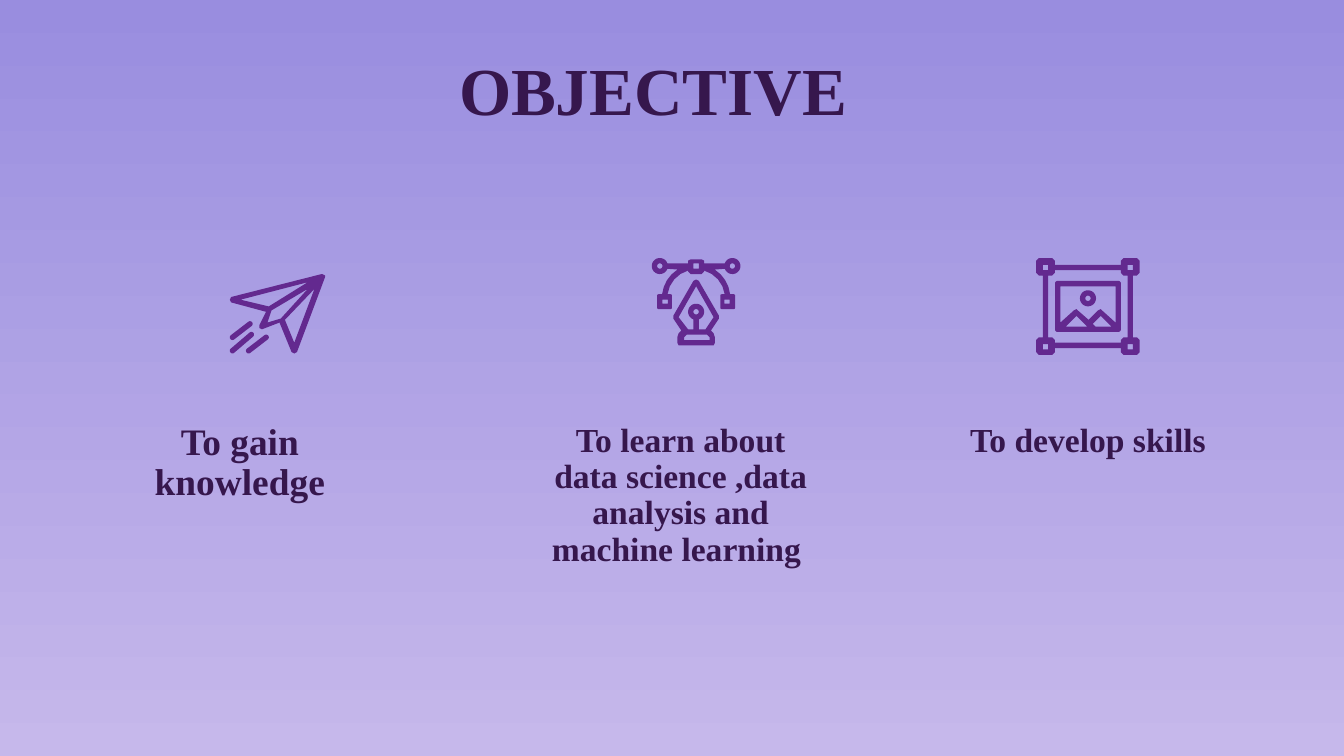
import dataclasses
import itertools
import math

import pptx
import pptx.dml.color
import pptx.enum.text
import pptx.util

PX = 9144
SLIDE_WIDTH = pptx.util.Inches(10)
SLIDE_HEIGHT = SLIDE_WIDTH * 9 // 16
FONT = "Times New Roman"
COLORS = {"top": "998DDF", "bottom": "C6B8EB", "text": "36174D", "icon": "63298F"}
Points = list[tuple[float, float]]


@dataclasses.dataclass
class Label:
    text: str
    left: int
    top: int
    width: int
    height: int
    size: int
    line_spacing: float


@dataclasses.dataclass
class Outline:
    contours: list[Points]


def rgb(name: str) -> pptx.dml.color.RGBColor:
    return pptx.dml.color.RGBColor.from_string(COLORS[name])


def arc(x: float, y: float, radius: float, start: float, end: float) -> Points:
    steps = max(4, round(abs(end - start) / 15))
    angles = [math.radians(start + (end - start) * i / steps) for i in range(steps + 1)]
    return [(x + radius * math.cos(a), y + radius * math.sin(a)) for a in angles]


def ring(x: float, y: float, radius: float) -> Points:
    return arc(x, y, radius, 0, 360)


def box(left: int, top: int, right: int, bottom: int) -> Points:
    return [(left, top), (right, top), (right, bottom), (left, bottom)]


def rounded_box(left: int, top: int, right: int, bottom: int, radius: int) -> Points:
    corners = box(left + radius, top + radius, right - radius, bottom - radius)
    return [point for i, (x, y) in enumerate(corners)
            for point in arc(x, y, radius, 180 + 90 * i, 270 + 90 * i)]


def capsule(x1: int, y1: int, x2: int, y2: int, radius: int) -> Points:
    angle = math.degrees(math.atan2(y2 - y1, x2 - x1))
    return (arc(x1, y1, radius, angle + 90, angle + 270)
            + arc(x2, y2, radius, angle - 90, angle + 90))


def add_mirror_x(points: Points, axis_sum: int) -> Points:
    return points + [(axis_sum - x, y) for x, y in reversed(points)]


def add_mirror_y(points: Points, axis_sum: int) -> Points:
    return points + [(x, axis_sum - y) for x, y in reversed(points)]


def four_way(points: Points) -> Points:
    return add_mirror_x(add_mirror_y(points, 456), 1619)


PEN_ICON = [
    Outline([
        add_mirror_x([(518, 208), (520, 209), (535, 235), (535, 237), (529, 246),
                      (531, 248), (532, 251), (532, 255), (531, 257), (529, 257)], 1036),
        [(518, 213), (531, 236), (525, 245), (520, 245)]
        + arc(518, 232, 6, 70, -250)
        + [(516, 245), (512, 245), (505, 236)],
        ring(518, 232, 2),
        [(526, 249), (528, 251), (528, 253), (509, 253), (509, 251), (511, 249)],
    ]),
    Outline([
        add_mirror_x(
            [(518, 193), (522, 193), (524, 194), (524, 196)]
            + arc(545, 198, 6, 200, 520)
            + arc(518, 222, 25.5, -57, -7)
            + arc(546, 220, 1, 270, 360)
            + arc(546, 229, 1, 0, 90)
            + arc(537, 229, 1, 90, 180)
            + arc(537, 220, 1, 180, 270)
            + arc(518, 222, 21.5, -8, -74)
            + [(524, 202), (522, 204), (518, 204)], 1036),
        ring(491, 198, 2),
        ring(545, 198, 2),
        box(516, 196, 520, 200),
        box(493, 223, 497, 226),
        box(539, 223, 543, 226),
    ]),
]

PLANE_ICON = [
    Outline([
        [(240, 204), (239, 204), (172, 221), (171, 223), (172, 225), (198, 232),
         (193, 242), (193, 244), (195, 245), (208, 240), (217, 262), (219, 263),
         (221, 262), (242, 206), (242, 205)],
        [(229, 210), (200, 228), (179, 223)],
        [(229, 215), (209, 237), (199, 240), (202, 231)],
        [(234, 215), (219, 255), (212, 238)],
    ]),
    Outline([capsule(173, 251, 186, 241, 2)]),
    Outline([capsule(185, 261, 198, 251, 2)]),
    Outline([capsule(173, 261, 187, 249, 2)]),
]

FRAME_ICON = [
    Outline([
        four_way([(834, 197), (834, 194), (836, 192), (846, 192),
                  (848, 194), (848, 203), (846, 205), (843, 205)]),
        four_way([(834, 201), (834, 203), (836, 205), (839, 205)]),
    ] + [box(x, y, x + 4, y + 4)
         for x, y in itertools.product((776, 839), (197, 256))]),
    Outline([
        rounded_box(785, 209, 834, 247, 2),
        [(830, 213), (830, 240), (820, 231), (819, 230), (817, 231), (810, 238),
         (802, 231), (801, 230), (799, 231), (789, 240), (789, 213)],
        [(801, 235), (809, 243), (793, 243)],
        [(819, 235), (827, 243), (815, 243), (813, 241)],
    ]),
    Outline([ring(809.5, 222, 6), ring(809.5, 222, 2)]),
]

LABELS = [
    Label("OBJECTIVE", 285, 43, 402, 77, 36, 0.8),
    Label("To gain knowledge", 73, 310, 211, 77, 20, 0.9),
    Label("To learn about data science ,data analysis and machine learning ",
          396, 310, 221, 130, 18, 0.9),
    Label("To develop skills", 704, 310, 211, 52, 18, 0.9),
]


def paint_background(slide: pptx.slide.Slide) -> None:
    fill = slide.background.fill
    fill.gradient()
    fill.gradient_angle = 270
    for stop, name in zip(fill.gradient_stops, ("top", "bottom")):
        stop.color.rgb = rgb(name)


def draw_label(slide: pptx.slide.Slide, label: Label) -> None:
    shape = slide.shapes.add_textbox(
        label.left * PX, label.top * PX, label.width * PX, label.height * PX)
    frame = shape.text_frame
    frame.word_wrap = True
    paragraph = frame.paragraphs[0]
    paragraph.alignment = pptx.enum.text.PP_ALIGN.CENTER
    paragraph.line_spacing = label.line_spacing
    run = paragraph.add_run()
    run.text = label.text
    run.font.name = FONT
    run.font.size = pptx.util.Pt(label.size)
    run.font.bold = True
    run.font.color.rgb = rgb("text")


def draw_icon(slide: pptx.slide.Slide, outlines: list[Outline]) -> None:
    group = slide.shapes.add_group_shape()
    for outline in outlines:
        scaled = [[(x * PX, y * PX) for x, y in contour] for contour in outline.contours]
        builder = group.shapes.build_freeform(*scaled[0][0], scale=1.0)
        builder.add_line_segments(scaled[0][1:], close=True)
        for contour in scaled[1:]:
            builder.move_to(*contour[0])
            builder.add_line_segments(contour[1:], close=True)
        shape = builder.convert_to_shape()
        shape.shadow.inherit = False
        shape.fill.solid()
        shape.fill.fore_color.rgb = rgb("icon")
        shape.line.fill.background()


def main() -> None:
    presentation = pptx.Presentation()
    presentation.slide_width = SLIDE_WIDTH
    presentation.slide_height = SLIDE_HEIGHT
    slide = presentation.slides.add_slide(presentation.slide_layouts[6])
    paint_background(slide)
    for label in LABELS:
        draw_label(slide, label)
    for icon in (PEN_ICON, PLANE_ICON, FRAME_ICON):
        draw_icon(slide, icon)
    presentation.save("out.pptx")


if __name__ == "__main__":
    main()
